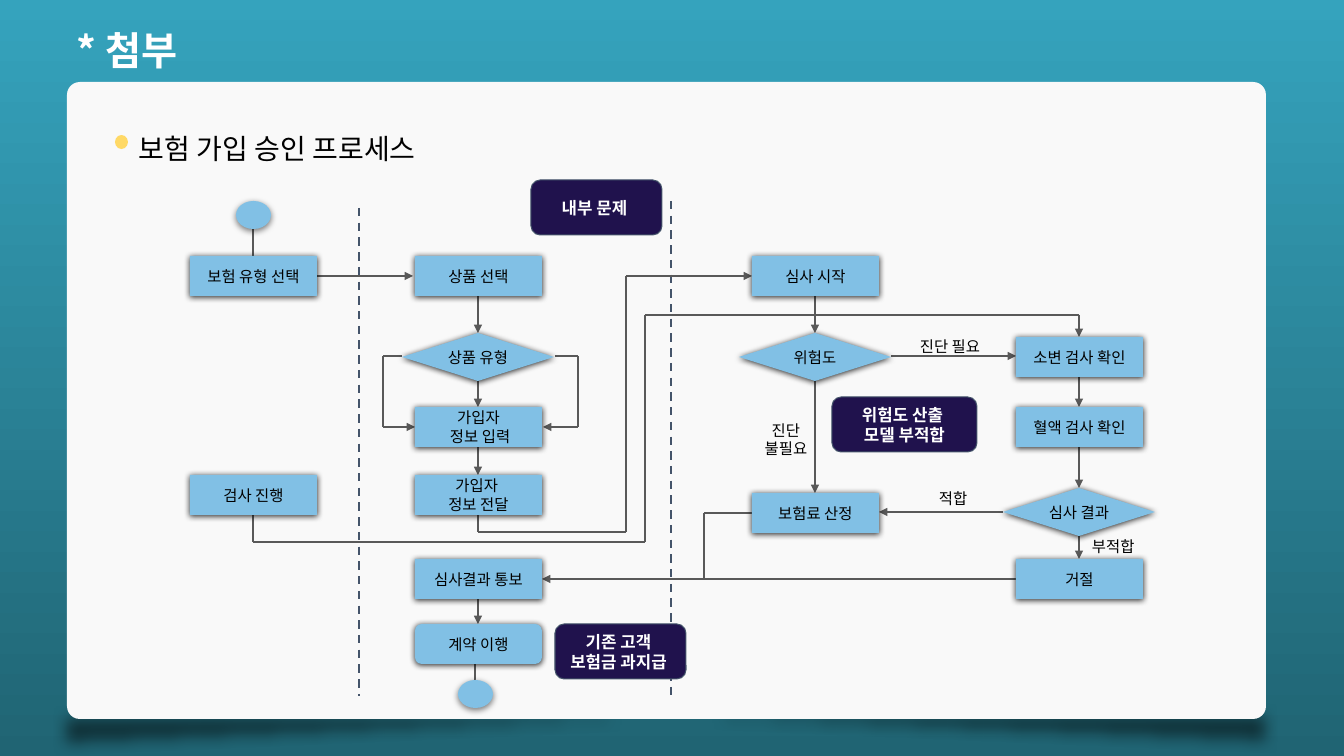
"""Build the insurance approval process slide."""
from itertools import pairwise

from lxml import etree
from pptx import Presentation
from pptx import util as u
from pptx.dml.color import RGBColor
from pptx.enum import dml, shapes, text
from pptx.oxml.ns import qn

FONT = "Noto Sans CJK KR"
BG_TOP, BG_BOTTOM = RGBColor(0x35, 0xA3, 0xBD), RGBColor(0x20, 0x64, 0x73)
PANEL = RGBColor(0xF9, 0xF9, 0xF9)
YELLOW = RGBColor(0xFF, 0xD9, 0x66)
BLUE = RGBColor(0x81, 0xC0, 0xE5)
NAVY = RGBColor(0x20, 0x12, 0x4D)
SLATE = RGBColor(0x44, 0x54, 0x6A)
GRAY = RGBColor(0x59, 0x59, 0x59)
BLACK, WHITE = RGBColor(0, 0, 0), RGBColor(0xFF, 0xFF, 0xFF)

KIND = shapes.MSO_SHAPE
CENTER = text.PP_ALIGN.CENTER
A, B, C, D = 253, 478, 815, 1079
SIZES = {
    KIND.RECTANGLE: (127, 40),
    KIND.ROUNDED_RECTANGLE: (127, 40),
    KIND.FLOWCHART_DECISION: (152, 48),
    KIND.OVAL: (35, 28),
}
NODES = {
    KIND.RECTANGLE: [
        (A, 256, "보험 유형 선택"), (A, 475, "검사 진행"),
        (B, 256, "상품 선택"), (B, 407, "가입자\n 정보 입력"),
        (B, 475, "가입자 \n정보 전달"), (B, 559, "심사결과 통보"),
        (C, 256, "심사 시작"), (C, 493, "보험료 산정"),
        (D, 337, "소변 검사 확인"), (D, 407, "혈액 검사 확인"), (D, 559, "거절"),
    ],
    KIND.FLOWCHART_DECISION: [(B, 333, "상품 유형"), (C, 333, "위험도"), (D, 488, "심사 결과")],
    KIND.ROUNDED_RECTANGLE: [(B, 624, "계약 이행")],
    KIND.OVAL: [(A, 201, ""), (475, 680, "")],
}
ARROWS = [
    [(317, 276), (413, 276)],
    [(B, 296), (B, 333)],
    [(B, 380), (B, 407)],
    [(B, 447), (B, 475)],
    [(B, 599), (B, 624)],
    [(402, 356), (383, 356), (383, 427), (415, 427)],
    [(555, 356), (578, 356), (578, 427), (543, 427)],
    [(B, 515), (B, 532), (626, 532), (626, 276), (752, 276)],
    [(A, 515), (A, 542), (645, 542), (645, 315), (D, 315), (D, 337)],
    [(C, 296), (C, 333)],
    [(C, 380), (C, 493)],
    [(891, 356), (1016, 356)],
    [(D, 377), (D, 407)],
    [(D, 447), (D, 488)],
    [(D, 536), (D, 559)],
    [(1003, 512), (879, 512)],
    [(1016, 579), (542, 579)],
]
PLAIN_LINES = [
    [(A, 229), (A, 256)],
    [(475, 658), (475, 685)],
    [(752, 513), (704, 513), (704, 579)],
]
DIVIDERS = [[(359, 208), (359, 696)], [(671, 201), (671, 696)]]
ISSUES = [
    (531, 180, 131, "내부 문제 "),
    (832, 397, 145, "위험도 산출 \n모델 부적합"),
    (555, 624, 131, "기존 고객 \n보험금 과지급 "),
]
LABELS = [
    (939, 489, 36, 18, "적합", None), (1092, 537, 58, 18, "부적합", None),
    (907, 337, 86, 18, "진단 필요", CENTER), (757, 421, 58, 37, "진단\n불필요", CENTER),
]


def px(n):
    return u.Emu(round(n * 914400 / 100.8))


def child(parent, tag, **attrs):
    return etree.SubElement(parent, qn(tag), {k: str(v) for k, v in attrs.items()})


def write(sp, words, size=11, color=BLACK, bold=False, align=CENTER,
          inset=1, anchor=text.MSO_ANCHOR.MIDDLE, spacing=None):
    tf = sp.text_frame
    tf.word_wrap = True
    tf.vertical_anchor = anchor
    tf.margin_left = tf.margin_right = px(inset)
    tf.margin_top = tf.margin_bottom = px(inset / 2)
    for i, line in enumerate(words.split("\n")):
        p = tf.add_paragraph() if i else tf.paragraphs[0]
        p.alignment, p.line_spacing = align, spacing
        r = p.add_run()
        r.text = line
        r.font.name, r.font.size, r.font.bold = FONT, u.Pt(size), bold
        r.font.color.rgb = color
        child(r._r.get_or_add_rPr(), "a:ea", typeface=FONT)


def shape(s, kind, x, y, w, h, fill, line=None, radius=None):
    sp = s.shapes.add_shape(kind, px(x), px(y), px(w), px(h))
    sp.shadow.inherit = False
    sp.fill.solid()
    sp.fill.fore_color.rgb = fill
    if line is None:
        sp.line.fill.background()
    else:
        sp.line.color.rgb, sp.line.width = line, u.Pt(0.75)
    if radius is not None:
        sp.adjustments[0] = radius
    return sp


def textbox(s, x, y, w, h, words, **fmt):
    sp = s.shapes.add_textbox(px(x), px(y), px(w), px(h))
    write(sp, words, anchor=text.MSO_ANCHOR.TOP, **fmt)


def effects(sp):
    return sp._element.spPr.find(qn("a:effectLst"))


def drop_shadow(sp, dist, alpha):
    shadow = child(effects(sp), "a:outerShdw", blurRad=u.Pt(4.5), dist=u.Pt(dist),
                   dir=5400000, algn="ctr", rotWithShape=0)
    child(child(shadow, "a:srgbClr", val=BLACK), "a:alpha", val=alpha * 1000)


def panel_shadow(s, x, y, **flips):
    sp = shape(s, KIND.RIGHT_TRIANGLE, x, y, 1212, 50, BLACK)
    for name, value in flips.items():
        sp._element.spPr.find(qn("a:xfrm")).set(name, value)
    color = sp._element.spPr.find(qn("a:solidFill"))[0]
    child(color, "a:alpha", val=51000)
    child(effects(sp), "a:softEdge", rad=u.Pt(10))


def route(s, points, color=GRAY, arrow=False, dash=None):
    for (x1, y1), (x2, y2) in pairwise(points):
        cn = s.shapes.add_connector(shapes.MSO_CONNECTOR.STRAIGHT, px(x1), px(y1), px(x2), px(y2))
        cn.line.color.rgb, cn.line.width = color, u.Pt(1.5)
        cn.line.dash_style = dash
        child(cn._element.spPr, "a:effectLst")
    if arrow:
        child(cn.line._get_or_add_ln(), "a:tailEnd", type="triangle")


def main():
    prs = Presentation()
    prs.slide_width, prs.slide_height = px(1344), px(756)
    s = prs.slides.add_slide(prs.slide_layouts[6])
    bg = s.background.fill
    bg.gradient()
    bg.gradient_angle = 270
    for stop, color, place in zip(bg.gradient_stops, (BG_TOP, BG_BOTTOM), (0, 1)):
        stop.color.rgb, stop.position = color, place

    panel_shadow(s, 66, 704, flipH="1", flipV="1")
    panel_shadow(s, 54, 706, flipV="1")
    shape(s, KIND.ROUNDED_RECTANGLE, 67, 82, 1199, 637, PANEL, radius=0.02)
    textbox(s, 67, 21, 758, 57, "* 첨부", size=28, color=WHITE, bold=True, align=None, inset=10)
    shape(s, KIND.OVAL, 115, 135, 13, 14, YELLOW)
    textbox(s, 129, 110, 472, 57, "보험 가입 승인 프로세스", size=20, align=None,
            inset=10, spacing=1.5)

    for points in DIVIDERS:
        route(s, points, color=SLATE, dash=dml.MSO_LINE.DASH)
    for points in PLAIN_LINES:
        route(s, points)
    for points in ARROWS:
        route(s, points, arrow=True)
    for kind, nodes in NODES.items():
        w, h = SIZES[kind]
        for cx, y, words in nodes:
            sp = shape(s, kind, cx - w // 2, y, w, h, BLUE)
            if words:
                write(sp, words)
                drop_shadow(sp, 0.8, 80)
            else:
                drop_shadow(sp, 1.5, 50)
    for x, y, w, words in ISSUES:
        sp = shape(s, KIND.ROUNDED_RECTANGLE, x, y, w, 55, NAVY, line=SLATE)
        write(sp, words, size=12, color=WHITE, bold=True)
    for x, y, w, h, words, align in LABELS:
        textbox(s, x, y, w, h, words, align=align, inset=0)
    prs.save("out.pptx")


if __name__ == "__main__":
    main()
